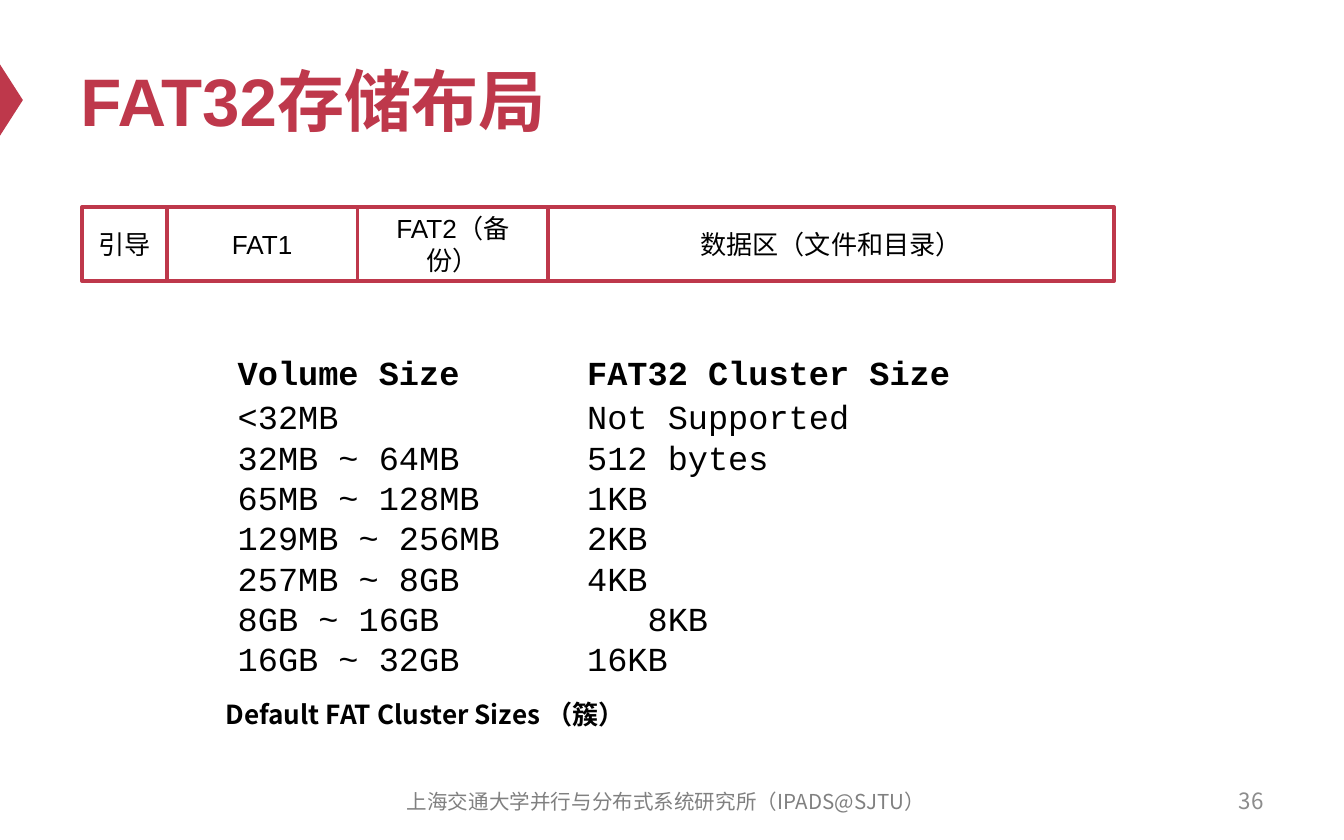
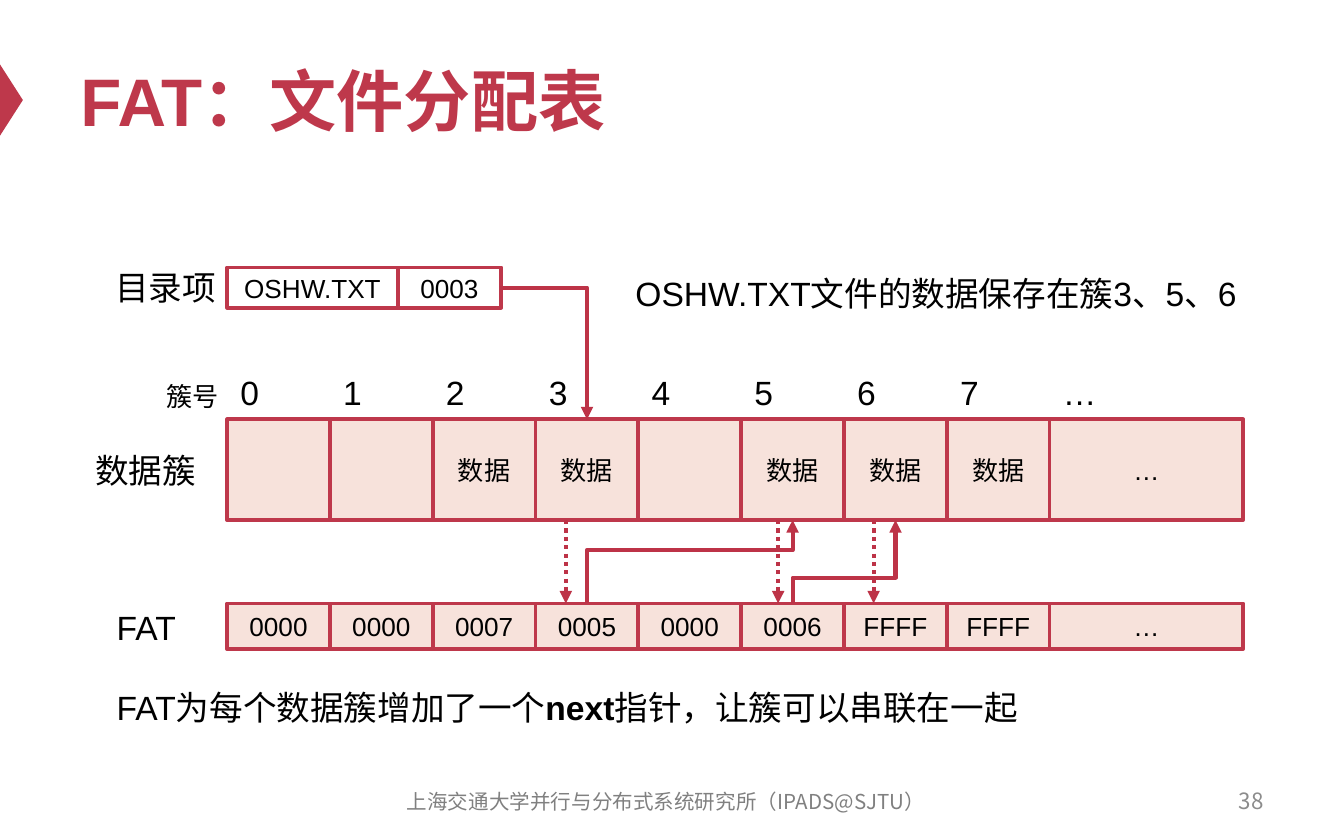
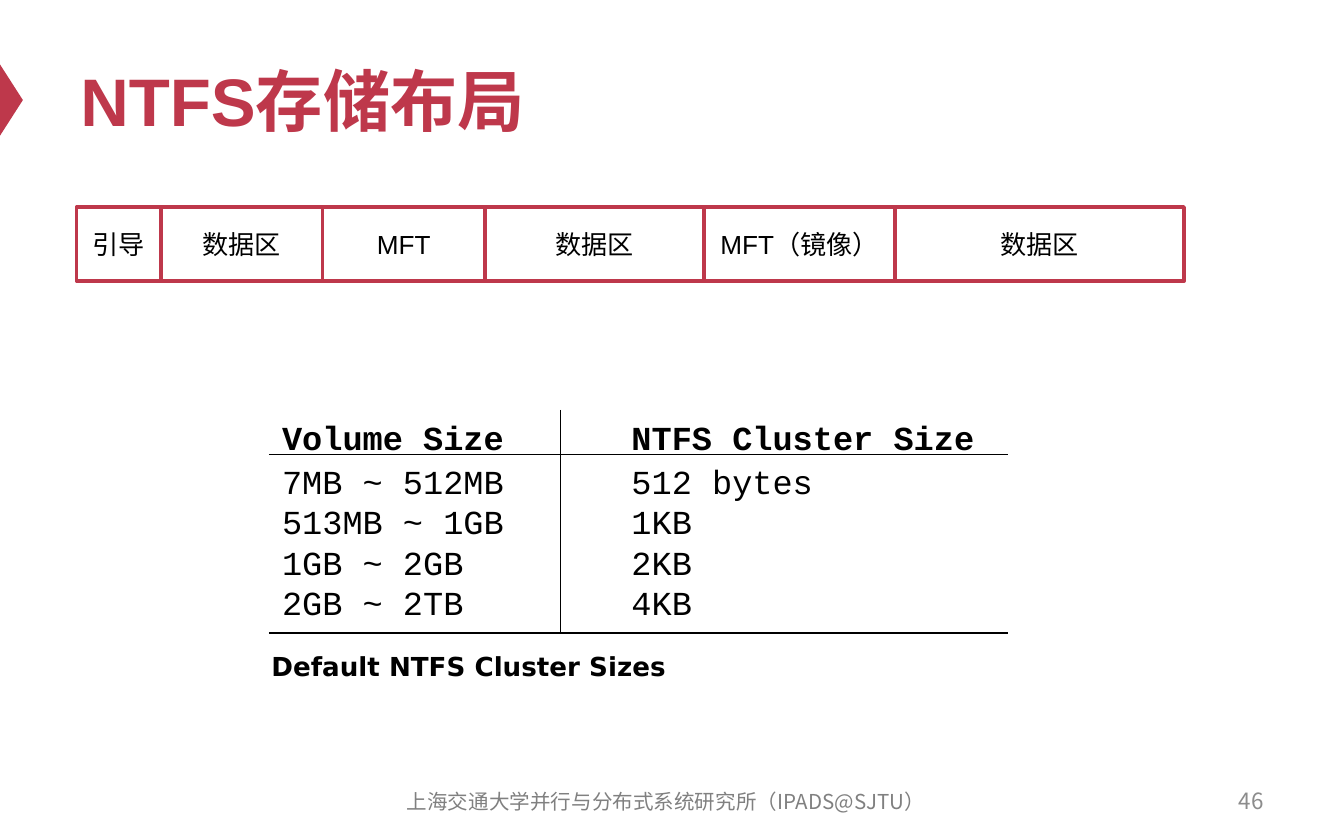
import pptx
import pptx.util
import pptx.dml.color
import pptx.enum.dml
import pptx.enum.shapes
import pptx.enum.text
import pptx.oxml
import pptx.oxml.ns
from lxml import etree

Inches = pptx.util.Inches
Pt = pptx.util.Pt
Shape = pptx.enum.shapes.MSO_SHAPE
Link = pptx.enum.shapes.MSO_CONNECTOR
Align = pptx.enum.text.PP_ALIGN
Anchor = pptx.enum.text.MSO_ANCHOR
Fit = pptx.enum.text.MSO_AUTO_SIZE
qn = pptx.oxml.ns.qn

RED, ARROW, PINK = "BE384B", "BD3347", "F7E2DB"
WHITE, BLACK, GRAY, PALE = "FFFFFF", "000000", "808080", "8C8C8C"
SANS, MONO, CJK, DEJA = "Arial", "Courier New", "Noto Sans CJK SC", "DejaVu Sans"
FOOTER = "上海交通大学并行与分布式系统研究所（IPADS@SJTU）"
COLUMN = 2.6  # tab stop of the second column


def color(code):
    return pptx.dml.color.RGBColor.from_string(code)


def sub(parent, tag, **attrs):
    return etree.SubElement(parent, qn(tag), attrs)


def write(frame, text, size=18, font=SANS, ink=BLACK, bold=False,
          align=Align.LEFT, tabs=()):
    """Fill a frame, one paragraph a line; parts between asterisks are bold.

    tabs holds one tab stop in inches for each line.
    """
    for i, line in enumerate(text.split("\n")):
        para = frame.paragraphs[0] if i == 0 else frame.add_paragraph()
        para.alignment = align
        if tabs:
            stops = sub(para._p.get_or_add_pPr(), "a:tabLst")
            sub(stops, "a:tab", pos=str(Inches(tabs[i])), algn="l")
        for j, part in enumerate(line.split("*")):
            run = para.add_run()
            run.text = part
            run.font.size = Pt(size)
            run.font.bold = bold or j % 2 == 1
            run.font.color.rgb = color(ink)
            run.font.name = font
            sub(run._r.get_or_add_rPr(), "a:ea", typeface=font)


class Deck:
    """Holds the shared style and the slide being drawn."""

    def __init__(self):
        self.prs = pptx.Presentation()
        self.prs.slide_width = Inches(10)
        self.prs.slide_height = Inches(6.25)

    def page(self, title, number):
        self.slide = self.prs.slides.add_slide(self.prs.slide_layouts[6])
        mark = self.shape(Shape.ISOSCELES_TRIANGLE, -0.18, 0.66, 0.53, 0.17, RED)
        mark.rotation = 90
        self.text(title, 0.5, 0.25, 9, 0.98, middle=True,
                  size=36, ink=RED, bold=True)
        self.text(str(number), 7.17, 5.79, 2.33, 0.33, middle=True,
                  size=12, font=CJK, ink=PALE, align=Align.RIGHT)
        self.text(FOOTER, 2.79, 5.8, 4.33, 0.33, middle=True,
                  size=11, font=CJK, ink=GRAY, align=Align.CENTER)

    def shape(self, kind, x, y, w, h, fill):
        shape = self.slide.shapes.add_shape(
            kind, Inches(x), Inches(y), Inches(w), Inches(h))
        shape.shadow.inherit = False
        shape.fill.solid()
        shape.fill.fore_color.rgb = color(fill)
        shape.line.fill.background()
        return shape

    def text(self, text, x, y, w, h, wrap=True, middle=False, **style):
        box = self.slide.shapes.add_textbox(
            Inches(x), Inches(y), Inches(w), Inches(h))
        frame = box.text_frame
        frame.word_wrap = wrap
        if middle:
            frame.vertical_anchor = Anchor.MIDDLE
        else:
            frame.auto_size = Fit.SHAPE_TO_FIT_TEXT
        write(frame, text, **style)

    def label(self, text, x, y, w, h=0.4, size=18):
        self.text(text, x, y, w, h, wrap=False, size=size)

    def row(self, x, y, h, cells, fill=WHITE):
        """Draw touching cells, given as (text, width) pairs."""
        for text, w in cells:
            cell = self.shape(Shape.RECTANGLE, x, y, w, h, fill)
            cell.line.color.rgb = color(RED)
            cell.line.width = Pt(2)
            frame = cell.text_frame
            frame.word_wrap = True
            frame.vertical_anchor = Anchor.MIDDLE
            if text:
                write(frame, text, size=14, align=Align.CENTER)
            x += w

    def line(self, x1, y1, x2, y2, kind=Link.STRAIGHT, ink=BLACK, width=0.75,
             dots=False, arrow=False):
        line = self.slide.shapes.add_connector(
            kind, Inches(x1), Inches(y1), Inches(x2), Inches(y2))
        line.line.color.rgb = color(ink)
        line.line.width = Pt(width)
        if dots:
            line.line.dash_style = pptx.enum.dml.MSO_LINE.ROUND_DOT
        if arrow:
            sub(line.line._get_or_add_ln(), "a:tailEnd", type="triangle")
        sub(line._element.spPr, "a:effectLst")
        return line

    def arrow(self, *ends, **style):
        return self.line(*ends, ink=ARROW, width=2.25, arrow=True, **style)

    def corner(self, x1, y1, x2, y2):
        """Arrow with one bend: across, then down."""
        bend = self.arrow(x1, y1, x2, y2, kind=Link.ELBOW)
        bend._element.spPr.find(qn("a:prstGeom")).set("prst", "bentConnector2")

    def climb(self, x1, y1, x2, y2, ratio):
        """Arrow going up, across at ratio of the way, and up again."""
        mid_x, mid_y = (x1 + x2) / 2, (y1 + y2) / 2
        half_w, half_h = (y1 - y2) / 2, (x2 - x1) / 2
        bend = self.arrow(mid_x + half_w, mid_y + half_h,
                          mid_x - half_w, mid_y - half_h, kind=Link.ELBOW)
        props = bend._element.spPr
        props.find(qn("a:xfrm")).set("rot", "5400000")
        geom = props.find(qn("a:prstGeom"))
        guides = geom.find(qn("a:avLst"))
        if guides is None:
            guides = sub(geom, "a:avLst")
        sub(guides, "a:gd", name="adj1", fmla=f"val {round(ratio * 100000)}")

    def sizes(self, x, y, head, rows, h, tabs):
        """Heading and rows of a two-column list set with tab stops."""
        self.text(head, x, y, 6.42, 0.4, font=MONO, bold=True, tabs=[COLUMN])
        self.text("\n".join(rows), x, y + 0.33, 6.42, h, font=MONO, tabs=tabs)


def fat_layout(deck):
    deck.page("FAT32存储布局", 36)
    deck.row(0.61, 1.54, 0.55, [("引导", 0.63), ("FAT1", 1.42),
                                ("FAT2（备份）", 1.42),
                                ("数据区（文件和目录）", 4.21)])
    deck.text("Default FAT Cluster Sizes （簇）", 1.58, 5.15, 5.08, 0.34,
              size=14, font=CJK, bold=True)
    rows = ["<32MB\tNot Supported", "32MB ~ 64MB\t512 bytes",
            "65MB ~ 128MB\t1KB", "129MB ~ 256MB\t2KB", "257MB ~ 8GB\t4KB",
            "8GB ~ 16GB\t8KB", "16GB ~ 32GB\t16KB"]
    tabs = [COLUMN] * len(rows)
    tabs[5] = 3.05
    deck.sizes(1.67, 2.57, "Volume Size\tFAT32 Cluster Size", rows, 2.22, tabs)


def fat_chain(deck):
    left, pitch, rest = 1.69, 0.765, 1.44
    top, low, fat = 3.12, 3.87, 4.49
    deck.page("FAT：文件分配表", 38)
    deck.label("FAT为每个数据簇增加了一个*next*指针，让簇可以串联在一起",
               0.77, 5.06, 7.18)

    widths = [pitch] * 8 + [rest]
    links = ["0000", "0000", "0007", "0005", "0000", "0006", "FFFF", "FFFF", "…"]
    data = ["数据" if i in (2, 3, 5, 6, 7) else "" for i in range(8)] + ["…"]
    deck.row(left, fat, 0.34, zip(links, widths), PINK)
    deck.row(left, top, 0.75, zip(data, widths), PINK)
    for i, mark in enumerate("01234567…"):
        deck.label(mark, left + i * pitch, 2.72, 0.45 if mark == "…" else 0.34)

    deck.label("数据簇", 0.61, 3.3, 0.96)
    deck.label("FAT", 0.77, 4.47, 0.65)
    deck.label("簇号", 1.14, 2.78, 0.59, 0.34, size=14)
    deck.label("目录项", 0.76, 1.94, 0.97)
    deck.row(left, 1.99, 0.3, [("OSHW.TXT", 1.27), ("0003", 0.77)])

    mid3, mid5, mid6 = (left + (i + 0.5) * pitch for i in (3, 5, 6))
    deck.corner(3.72, 2.14, mid3, top)
    deck.climb(mid3, fat, mid5, low, 0.64)
    deck.climb(mid5, fat, mid6, low, 0.31)
    for x in (4.21, 5.79, 6.5):
        deck.arrow(x, low, x, fat, dots=True)
    deck.text("OSHW.TXT文件的数据保存在簇3、5、6", 4.63, 1.98, 4.72, 0.4)


def ntfs_layout(deck):
    deck.page("NTFS存储布局", 46)
    deck.row(0.57, 1.54, 0.55, [("引导", 0.63), ("数据区", 1.2), ("MFT", 1.21),
                                ("数据区", 1.63), ("MFT（镜像）", 1.42),
                                ("数据区", 2.15)])
    deck.text("Default NTFS Cluster Sizes", 1.92, 4.79, 5.08, 0.34,
              size=14, font=DEJA, bold=True)
    rows = ["7MB ~ 512MB\t512 bytes", "513MB ~ 1GB\t1KB",
            "1GB ~ 2GB\t2KB", "2GB ~ 2TB\t4KB"]
    deck.sizes(2, 3.05, "Volume Size\tNTFS Cluster Size", rows, 1.31,
               [COLUMN] * len(rows))
    for y in (3.38, 4.71):
        deck.line(2, y, 7.5, y)
    deck.line(4.17, 3.05, 4.17, 4.71)


def main():
    deck = Deck()
    fat_layout(deck)
    fat_chain(deck)
    ntfs_layout(deck)
    deck.prs.save("out.pptx")


if __name__ == "__main__":
    main()
